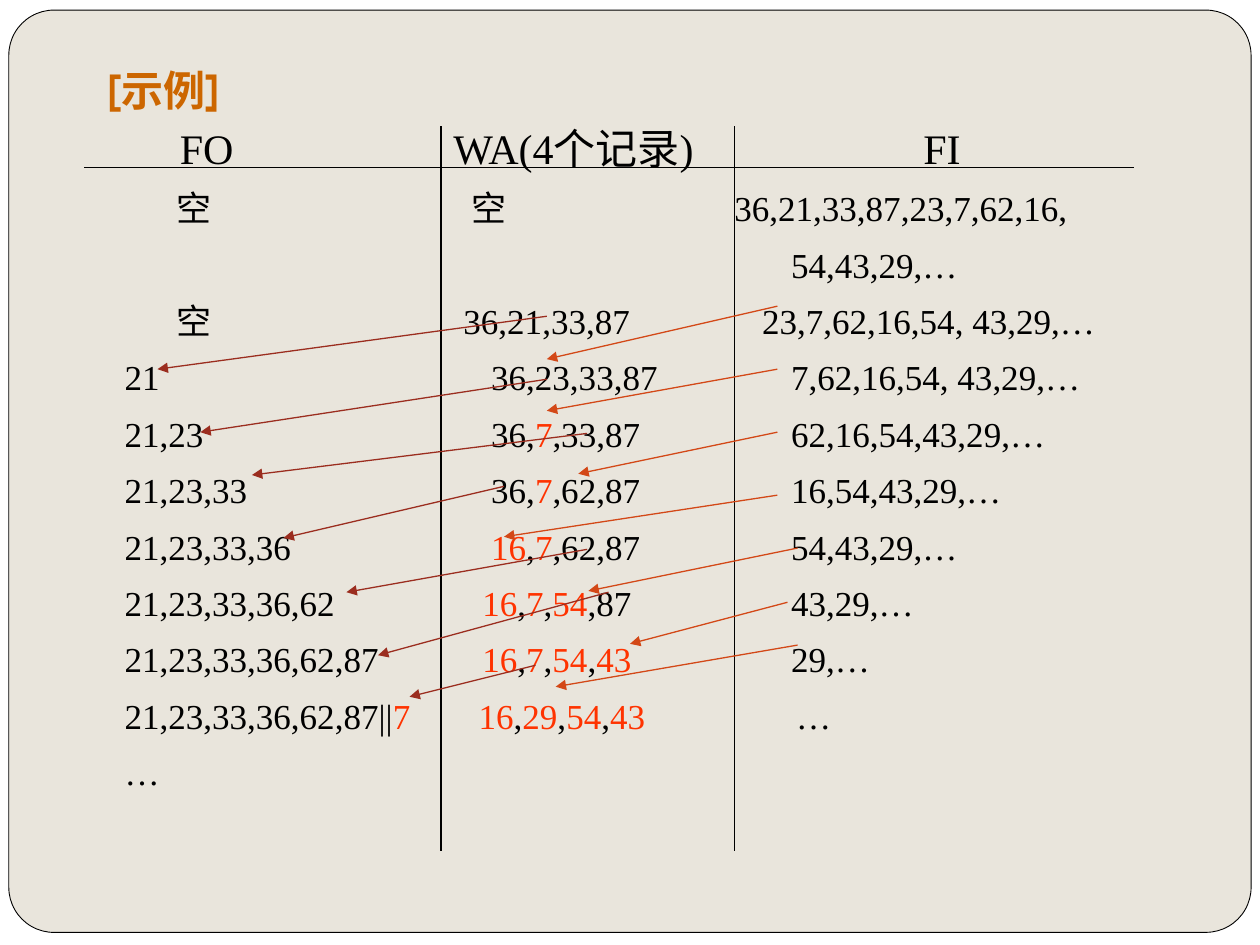
from lxml import etree
from pptx import Presentation
from pptx.dml.color import RGBColor
from pptx.enum import shapes, text
from pptx.oxml.ns import qn
from pptx.util import Inches, Pt

COLORS = {"paper": "E9E5DC", "white": "FFFFFF", "ink": "000000", "title": "CC6600",
          "next_run": "FF3300", "input": "D34817", "output": "9B2D1F"}
BODY_LEFT, INSET = 0.75, 0.1
COLUMNS = (0.99, 3.9, 6.28)

# Cells for FO, WA and FI, then their left edges; *...* marks the next run
ROWS = [
    ("FO", "WA(4个记录)", "FI", (1.43, 3.6, 7.33)),
    ("空", "空", "36,21,33,87,23,7,62,16,", (1.4, 3.74, 5.83)),
    ("", "", "54,43,29,…", COLUMNS),
    ("空", "36,21,33,87", "23,7,62,16,54, 43,29,…", (1.4, 3.68, 6.05)),
    ("21", "36,23,33,87", "7,62,16,54, 43,29,…", COLUMNS),
    ("21,23", "36,*7*,33,87", "62,16,54,43,29,…", COLUMNS),
    ("21,23,33", "36,*7*,62,87", "16,54,43,29,…", COLUMNS),
    ("21,23,33,36", "*16*,*7*,62,87", "54,43,29,…", COLUMNS),
    ("21,23,33,36,62", "*16*,*7*,*54*,87", "43,29,…", (0.99, 3.83, 6.28)),
    ("21,23,33,36,62,87", "*16*,*7*,*54*,*43*", "29,…", (0.99, 3.83, 6.28)),
    ("21,23,33,36,62,87||*7*", "*16*,*29*,*54*,*43*", "…", (0.99, 3.8, 6.32)),
    ("…", "", "", COLUMNS),
]

RULES = [(0.67, 1.33, 9, 1.33), (3.5, 1, 3.5, 6.75), (5.83, 1, 5.83, 6.75)]
INPUT_ARROWS = [
    (6.17, 2.43, 4.34, 2.85), (6.17, 2.93, 4.34, 3.26), (6.17, 3.43, 4.59, 3.76),
    (6.17, 3.93, 4, 4.26), (6.33, 4.35, 4.67, 4.69), (6.25, 4.78, 5, 5.11),
    (6.33, 5.12, 4.41, 5.45),
]
OUTPUT_ARROWS = [
    (4.34, 2.51, 1.25, 2.93), (4.34, 3.01, 1.59, 3.43), (4.66, 3.44, 2, 3.77),
    (4, 3.86, 2.25, 4.27), (4.66, 4.36, 2.75, 4.7), (4.83, 4.7, 3, 5.2),
    (4.25, 5.28, 3.25, 5.53),
]


def rgb(name):
    return RGBColor.from_string(COLORS[name])


def add_text(paragraph, content, size, font="Times New Roman", color="ink", bold=False):
    run = paragraph.add_run()
    run.text = content
    run.font.size, run.font.name, run.font.bold = Pt(size), font, bold
    run.font.color.rgb = rgb(color)


def add_title(slide):
    title = slide.shapes.title
    title.left, title.top = Inches(BODY_LEFT), Inches(0.42)
    title.width, title.height = Inches(8.5), Inches(0.58)
    title.text_frame.auto_size = text.MSO_AUTO_SIZE.NONE
    title.text_frame.vertical_anchor = text.MSO_ANCHOR.MIDDLE
    heading = title.text_frame.paragraphs[0]
    heading.alignment = text.PP_ALIGN.LEFT
    add_text(heading, "[示例]", 24, font="Cabin", color="title", bold=True)


def set_columns(paragraph, edges):
    """Put a tab stop at each column edge."""
    stops = etree.SubElement(paragraph._p.get_or_add_pPr(), qn("a:tabLst"))
    for edge in edges:
        position = Inches(edge - BODY_LEFT - INSET)
        etree.SubElement(stops, qn("a:tab"), pos=str(position), algn="l")


def add_trace(slide):
    """Write the tab-aligned states of the output, work area and input."""
    trace = slide.shapes.add_textbox(Inches(BODY_LEFT), Inches(0.92),
                                     Inches(8.5), Inches(5.75))
    frame = trace.text_frame
    frame.word_wrap = True
    for index, (fo, wa, fi, edges) in enumerate(ROWS):
        paragraph = frame.add_paragraph() if index else frame.paragraphs[0]
        set_columns(paragraph, edges)
        paragraph.space_before = Pt(5.8 if index else 0)
        paragraph.line_spacing = 1.1 if index else 1.0
        line = "\t" + "\t".join((fo, wa, fi)).rstrip("\t")
        for part, content in enumerate(line.split("*")):
            if content:
                add_text(paragraph, content, 20 if index else 24,
                         color="next_run" if part % 2 else "ink")


def add_card(slide):
    card = slide.shapes.add_shape(shapes.MSO_SHAPE.ROUNDED_RECTANGLE, Inches(0.07),
                                  Inches(0.08), Inches(9.86), Inches(7.32))
    card.adjustments[0] = 0.049
    card.shadow.inherit = False
    card.fill.solid()
    card.fill.fore_color.rgb = rgb("paper")
    card.line.color.rgb = rgb("ink")
    card.line.width = Pt(0.5)
    slide.shapes._spTree.insert(2, card._element)


def add_line(slide, ends, color, arrow=False):
    line = slide.shapes.add_connector(shapes.MSO_CONNECTOR.STRAIGHT,
                                      *(Inches(value) for value in ends))
    line.line.color.rgb = rgb(color)
    line.line.width = Pt(0.75)
    if arrow:
        etree.SubElement(line.line._get_or_add_ln(), qn("a:tailEnd"), type="triangle")
    etree.SubElement(line._element.spPr, qn("a:effectLst"))


def main():
    deck = Presentation()
    deck.slide_width, deck.slide_height = Inches(10), Inches(7.5)
    slide = deck.slides.add_slide(deck.slide_layouts[5])
    slide.background.fill.solid()
    slide.background.fill.fore_color.rgb = rgb("white")
    add_card(slide)
    add_title(slide)
    add_trace(slide)

    for ends in RULES:
        add_line(slide, ends, "ink")
    for color, arrows in (("input", INPUT_ARROWS), ("output", OUTPUT_ARROWS)):
        for ends in arrows:
            add_line(slide, ends, color, arrow=True)
    deck.save("out.pptx")


if __name__ == "__main__":
    main()
